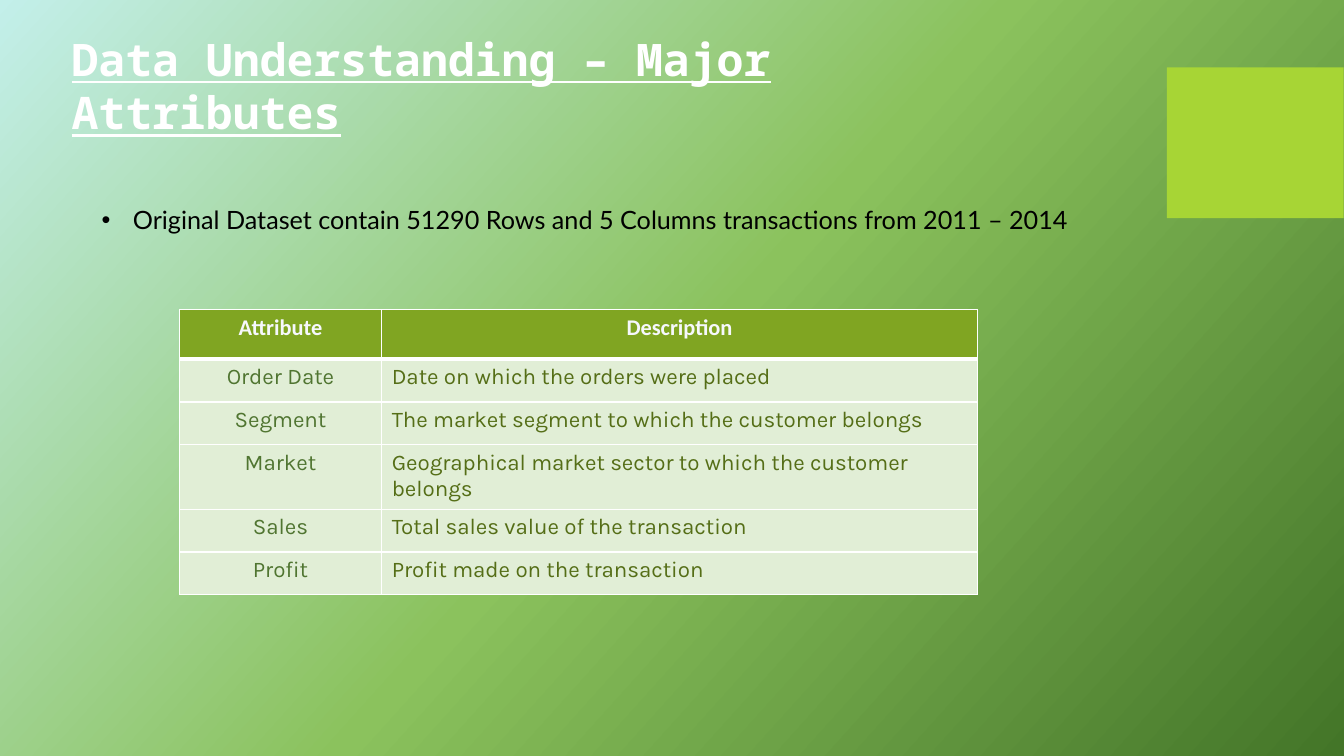
from copy import deepcopy
from dataclasses import dataclass

from lxml import etree
from pptx import Presentation
from pptx.dml.color import RGBColor
from pptx.enum.shapes import MSO_SHAPE
from pptx.enum.text import MSO_ANCHOR, PP_ALIGN
from pptx.oxml.ns import qn
from pptx.util import Cm, Pt

RECT = MSO_SHAPE.RECTANGLE
TOP = MSO_ANCHOR.TOP
LEFT, CENTER = PP_ALIGN.LEFT, PP_ALIGN.CENTER
TITLE_ONLY = 5

TITLE = "Data Understanding – Major Attributes"
BULLET = "Original Dataset contain 51290 Rows and 5 Columns transactions from 2011 – 2014"
ROWS = [
    ("Attribute", "Description"),
    ("Order Date", "Date on which the orders were placed"),
    ("Segment", "The market segment to which the customer belongs"),
    ("Market", "Geographical market sector to which the customer belongs"),
    ("Sales", "Total sales value of the transaction"),
    ("Profit", "Profit made on the transaction"),
]
COL_WIDTHS = (5.1, 15.01)
HEADER_HEIGHT, ROW_HEIGHT, TWO_LINE_HEIGHT = 1.25, 1.08, 1.62
TWO_LINE_ROW = 3


@dataclass(frozen=True)
class Theme:
    """Colours, fonts and type sizes of the slide."""
    background: tuple = ((0, "C3EFEA"), (50, "8BC25D"), (100, "437528"))
    angle: int = 42
    accent: str = "A7D535"
    white: str = "FFFFFF"
    black: str = "000000"
    header: str = "80A522"
    header_text: str = "F6F8FC"
    body: str = "E1EED6"
    name_text: str = "507531"
    description_text: str = "556E17"
    title_font: str = "Noto Sans Mono"
    bullet_font: str = "Lato"
    header_font: str = "Calibri"
    body_font: str = "Karla"
    title_size: int = 32
    bullet_size: int = 18
    table_size: int = 16


T = Theme()


def rgb(value):
    """Turn a hex string into a colour."""
    return RGBColor.from_string(value)


def add_run(p, text, font, size, color, bold=False):
    """Add one formatted run to a paragraph."""
    r = p.add_run()
    r.text = text
    r.font.name, r.font.size, r.font.bold = font, Pt(size), bold
    r.font.color.rgb = rgb(color)
    return r


def paint_background(s):
    """Fill the background with the diagonal gradient."""
    fill = s.background.fill
    fill.gradient()
    fill.gradient_angle = 360 - T.angle
    stops = s.element.find(".//" + qn("a:gsLst"))
    sample = deepcopy(stops[0])
    for stop in list(stops):
        stops.remove(stop)
    for _ in T.background:
        stops.append(deepcopy(sample))
    for stop, (position, color) in zip(fill.gradient_stops, T.background):
        stop.position = position / 100
        stop.color.rgb = rgb(color)


def add_accent(s):
    """Add the light block at the right edge."""
    sp = s.shapes.add_shape(RECT, Cm(29.41), Cm(1.7), Cm(4.45), Cm(3.8))
    sp.shadow.inherit = False
    sp.fill.solid()
    sp.fill.fore_color.rgb = rgb(T.accent)
    sp.line.fill.background()


def set_title(s):
    """Place and format the title."""
    sp = s.shapes.title
    sp.left, sp.top, sp.width, sp.height = Cm(1.55), Cm(0.66), Cm(21.13), Cm(2.97)
    tf = sp.text_frame
    tf.word_wrap, tf.vertical_anchor = True, TOP
    p = tf.paragraphs[0]
    p.alignment = LEFT
    add_run(p, TITLE, T.title_font, T.title_size, T.white, True).font.underline = True


def add_bullet(s):
    """Add the bulleted sentence under the title."""
    sp = s.shapes.add_textbox(Cm(2.26), Cm(5.03), Cm(30.63), Cm(1.05))
    tf = sp.text_frame
    tf.word_wrap = True
    p = tf.paragraphs[0]
    p.space_before = Pt(1)
    add_run(p, BULLET, T.bullet_font, T.bullet_size, T.black)
    pPr = p._p.get_or_add_pPr()
    pPr.set("marL", str(Cm(0.84)))
    pPr.set("indent", str(Cm(-0.79)))
    etree.SubElement(pPr, qn("a:buFont"), typeface="Arial")
    etree.SubElement(pPr, qn("a:buChar"), char="•")


def set_borders(cell, top, bottom):
    """Draw white borders; top and bottom widths are in points."""
    tcPr = cell._tc.get_or_add_tcPr()
    edges = (("a:lnL", 1), ("a:lnR", 1), ("a:lnT", top), ("a:lnB", bottom))
    for i, (tag, width) in enumerate(edges):
        ln = etree.Element(qn(tag), w=str(Pt(width)))
        fill = etree.SubElement(ln, qn("a:solidFill"))
        etree.SubElement(fill, qn("a:srgbClr"), val=T.white)
        tcPr.insert(i, ln)


def add_attribute_table(s):
    """Add the table of attributes and descriptions."""
    heights = [HEADER_HEIGHT] + [ROW_HEIGHT] * (len(ROWS) - 1)
    heights[TWO_LINE_ROW] = TWO_LINE_HEIGHT
    table = s.shapes.add_table(len(ROWS), len(COL_WIDTHS), Cm(4.52), Cm(7.8),
                               Cm(sum(COL_WIDTHS)), Cm(sum(heights))).table
    for column, width in zip(table.columns, COL_WIDTHS):
        column.width = Cm(width)
    for i, (texts, height) in enumerate(zip(ROWS, heights)):
        table.rows[i].height = Cm(height)
        header = i == 0
        for j, text in enumerate(texts):
            cell = table.cell(i, j)
            cell.fill.solid()
            cell.fill.fore_color.rgb = rgb(T.header if header else T.body)
            set_borders(cell, 3 if i == 1 else 1, 3 if header else 1)
            p = cell.text_frame.paragraphs[0]
            p.alignment = CENTER if header or j == 0 else LEFT
            body_color = T.description_text if j else T.name_text
            add_run(p, text, T.header_font if header else T.body_font, T.table_size,
                    T.header_text if header else body_color, header)


prs = Presentation()
prs.slide_width, prs.slide_height = Cm(33.87), Cm(19.05)
s = prs.slides.add_slide(prs.slide_layouts[TITLE_ONLY])
paint_background(s)
add_accent(s)
set_title(s)
add_attribute_table(s)
add_bullet(s)
prs.save("out.pptx")
